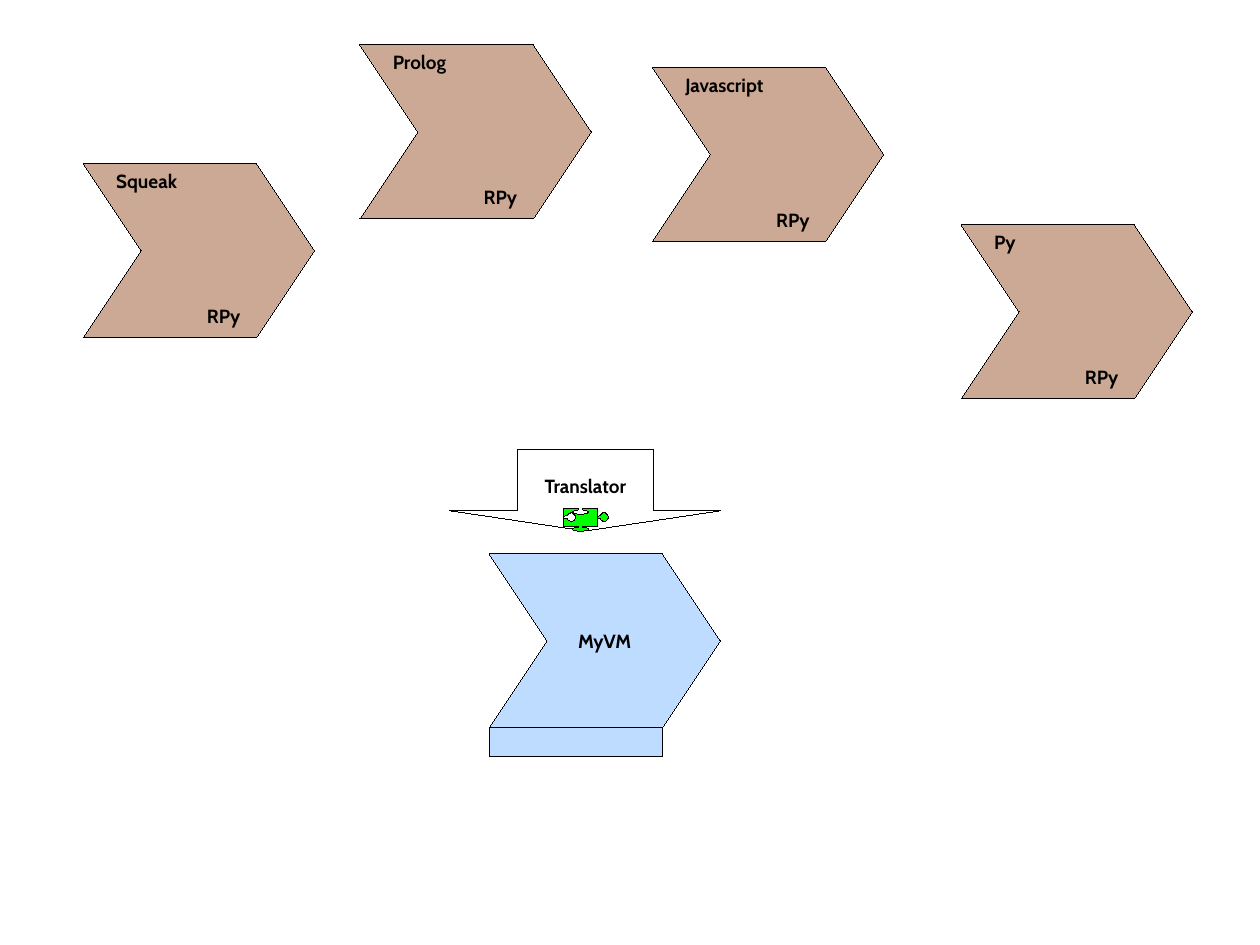
from dataclasses import dataclass
from math import cos, radians, sin

from pptx import Presentation
from pptx import util as u
from pptx.dml import color
from pptx.enum import shapes, text


@dataclass(frozen=True)
class Theme:
    font: str = "Cabin"
    size: int = 12
    hairline: float = 0.01
    ink: str = "000000"
    interpreter: str = "CCA995"
    runtime: str = "BEDCFF"
    translator: str = "FFFFFF"
    puzzle: str = "00FF00"


def write(frame, words, theme, align=text.PP_ALIGN.LEFT, anchor=text.MSO_ANCHOR.TOP):
    frame.word_wrap = True
    frame.vertical_anchor = anchor
    paragraph = frame.paragraphs[0]
    paragraph.alignment = align
    run = paragraph.add_run()
    run.text = words
    run.font.name = theme.font
    run.font.size = u.Pt(theme.size)
    run.font.bold = True
    run.font.color.rgb = color.RGBColor.from_string(theme.ink)


def arc(center, radii, start, end, steps=24):
    angles = [radians(start + (end - start) * i / steps) for i in range(steps + 1)]
    return [(center[0] + radii[0] * cos(a), center[1] + radii[1] * sin(a)) for a in angles]


class Diagram:
    def __init__(self, slide, theme):
        self.slide = slide
        self.theme = theme

    def paint(self, item, fill):
        item.shadow.inherit = False
        item.fill.solid()
        item.fill.fore_color.rgb = color.RGBColor.from_string(fill)
        item.line.color.rgb = color.RGBColor.from_string(self.theme.ink)
        item.line.width = u.Pt(self.theme.hairline)

    def block(self, preset, left, top, width, height, fill, words="", adjust=()):
        item = self.slide.shapes.add_shape(
            preset, u.Cm(left), u.Cm(top), u.Cm(width), u.Cm(height))
        for index, value in enumerate(adjust):
            item.adjustments[index] = value
        self.paint(item, fill)
        if words:
            write(item.text_frame, words, self.theme,
                  align=text.PP_ALIGN.CENTER, anchor=text.MSO_ANCHOR.MIDDLE)

    def chevron(self, left, top, fill, words=""):
        self.block(shapes.MSO_SHAPE.CHEVRON, left, top, CHEVRON_WIDTH, CHEVRON_HEIGHT,
                   fill, words, adjust=(1 / 3,))

    def label(self, words, left, top, width):
        box = self.slide.shapes.add_textbox(u.Cm(left), u.Cm(top), u.Cm(width), u.Cm(0.74))
        write(box.text_frame, words, self.theme)
        box.text_frame.auto_size = text.MSO_AUTO_SIZE.SHAPE_TO_FIT_TEXT

    def interpreter(self, language, left, top, width):
        self.chevron(left, top, self.theme.interpreter)
        self.label(language, left + 0.48, top, width)
        self.label("RPy", left + 2.5, top + 3, 1.5)

    def outline(self, points, left, top, fill):
        builder = self.slide.shapes.build_freeform(*points[0], scale=u.Cm(0.01))
        builder.add_line_segments(points[1:], close=True)
        self.paint(builder.convert_to_shape(u.Cm(left), u.Cm(top)), fill)


CHEVRON_WIDTH, CHEVRON_HEIGHT = 5.14, 3.86
RUNTIME_LEFT, RUNTIME_TOP = 10.87, 12.31
INTERPRETERS = [
    ("Py", 21.36, 5, 1.27),
    ("Javascript", 14.5, 1.5, 3.02),
    ("Prolog", 8, 1, 2.51),
    ("Squeak", 1.85, 3.64, 3.18),
]
PUZZLE_OUTLINE = [
    (0, 0), (34, 0), *arc((38, 8), (17, 5), 255, -75), (42, 0),
    (76, 0), (76, 17), *arc((91, 19), (9, 9), 200, 520), (76, 21),
    (76, 39), (42, 39), *arc((38, 46), (17, 5), 285, 615), (34, 39),
    (0, 39), (0, 21), *arc((18, 19), (9, 9), 160, -160), (0, 17),
]

presentation = Presentation()
presentation.slide_width = u.Cm(28)
presentation.slide_height = u.Cm(21)
theme = Theme()
diagram = Diagram(presentation.slides.add_slide(presentation.slide_layouts[6]), theme)

diagram.chevron(RUNTIME_LEFT, RUNTIME_TOP, theme.runtime, "MyVM")
diagram.block(shapes.MSO_SHAPE.FLOWCHART_PROCESS, RUNTIME_LEFT, RUNTIME_TOP + CHEVRON_HEIGHT,
              CHEVRON_HEIGHT, 0.64, theme.runtime)
diagram.block(shapes.MSO_SHAPE.DOWN_ARROW, 10, 10, 6.02, 1.8, theme.translator,
              "Translator", adjust=(0.5, 0.25))
diagram.outline(PUZZLE_OUTLINE, 12.52, 11.3, theme.puzzle)
for language, left, top, width in INTERPRETERS:
    diagram.interpreter(language, left, top, width)

presentation.save("out.pptx")
